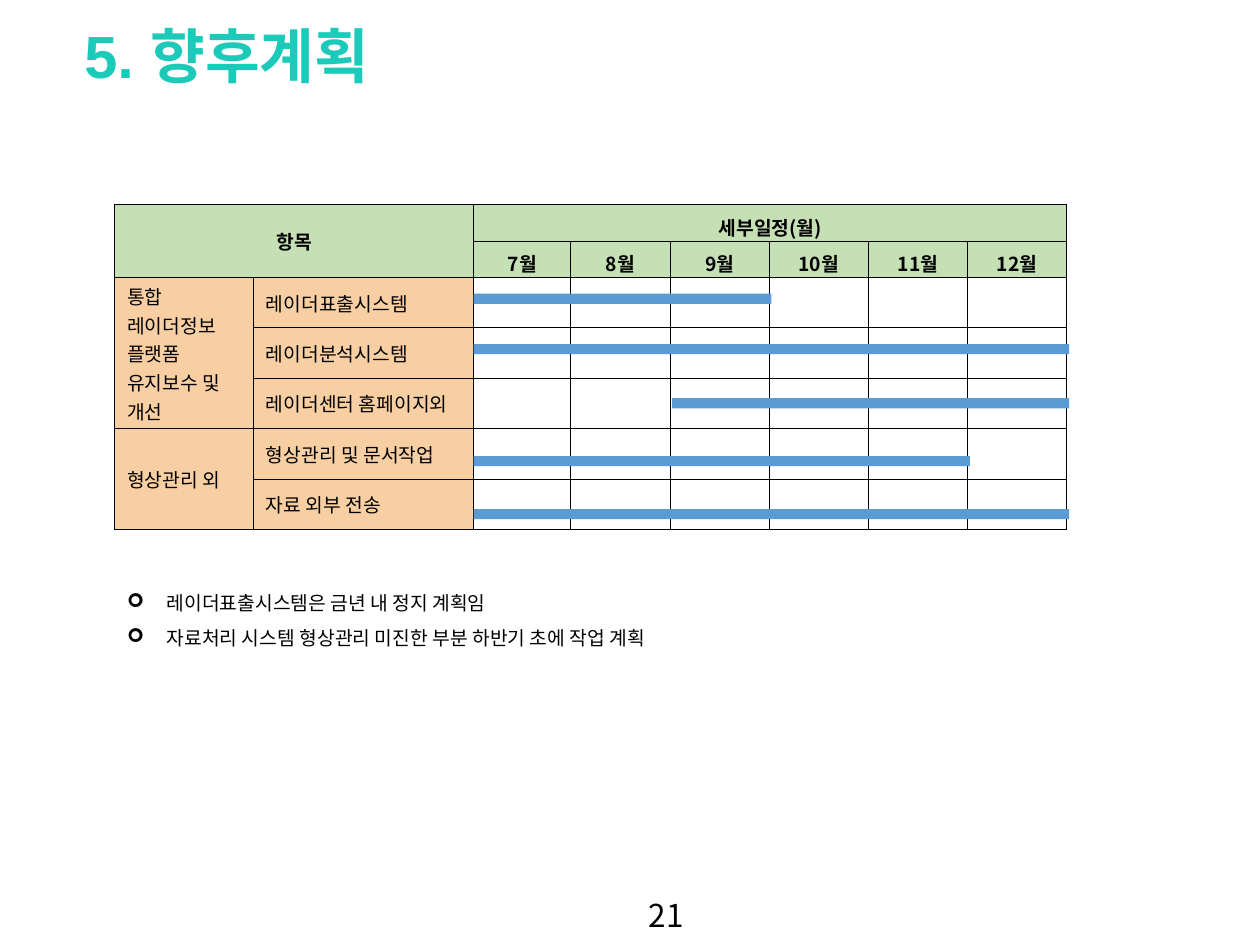
"""Build the schedule slide with a Gantt-style table and closing notes."""
from lxml.etree import SubElement
from pptx import Presentation
from pptx.dml.color import RGBColor
from pptx.enum.shapes import MSO_SHAPE as Shape
from pptx.enum.text import MSO_ANCHOR as Anchor, MSO_AUTO_SIZE as Fit, PP_ALIGN as Align
from pptx.oxml.ns import qn
from pptx.util import Pt

COLORS = {"title": "1CCAB9", "header": "C5E0B4", "item": "F7CFA3",
          "bar": "5B9BD5", "text": "000000"}
KR = "Noto Sans CJK KR"
COL_WIDTHS = [79.2, 126, 55.5] + [56.7] * 5
ROW_HEIGHTS = [20.8] * 2 + [28.8] * 5
TABLE_LEFT, TABLE_TOP = 65.5, 116.9
BAR_LEFT, MONTH_WIDTH, BAR_HEIGHT = 270.7, 56.7, 5.8
MONTHS = [f"{m}월" for m in range(7, 13)]
GROUPS = [
    (["통합", "레이더정보", "플랫폼", "유지보수 및 개선"],
     ["레이더표출시스템", "레이더분석시스템", "레이더센터 홈페이지외"]),
    (["형상관리 외"], ["형상관리 및 문서작업", "자료 외부 전송"]),
]
BARS = [(0, 3, 167.8), (0, 6, 196.6), (2, 4, 227.5), (0, 5, 260.6), (0, 6, 290.9)]
NOTES = ["레이더표출시스템은 금년 내 정지 계획임",
         "자료처리 시스템 형상관리 미진한 부분 하반기 초에 작업 계획"]


def rgb(name):
    return RGBColor.from_string(COLORS[name])


def set_attrs(obj, fmt):
    for name, value in fmt.items():
        setattr(obj, name, value)


def place(sp, left, top, width, height):
    set_attrs(sp, {"left": Pt(left), "top": Pt(top),
                   "width": Pt(width), "height": Pt(height)})


def write(tf, lines, size=11, bold=False, font=KR, color="text", **para):
    for i, line in enumerate(lines):
        p = tf.paragraphs[0] if i == 0 else tf.add_paragraph()
        set_attrs(p, para)
        r = p.add_run()
        r.text = line
        set_attrs(r.font, {"size": Pt(size), "bold": bold, "name": font})
        r.font.color.rgb = rgb(color)
        SubElement(r.font._element, qn("a:ea"), typeface=KR)


def add_title(s, text):
    sp = s.shapes.title
    place(sp, 41, -0.7, 607.7, 63.4)
    set_attrs(sp.text_frame, {"vertical_anchor": Anchor.MIDDLE, "auto_size": Fit.NONE})
    write(sp.text_frame, [text], 34, True, "Arial", "title", alignment=Align.LEFT)


def add_notes(s, lines):
    sp = s.placeholders[1]
    place(sp, 65.5, 327.6, 391, 47.5)
    sp.text_frame.auto_size = Fit.SHAPE_TO_FIT_TEXT
    write(sp.text_frame, lines, line_spacing=1.5, space_before=Pt(0))
    for p in sp.text_frame.paragraphs:
        pPr = p._p.get_or_add_pPr()
        pPr.set("marL", str(Pt(22.5)))
        pPr.set("indent", str(Pt(-22.5)))
        SubElement(pPr, qn("a:buFont"), typeface="Wingdings")
        SubElement(pPr, qn("a:buChar"), char="➢")


def add_borders(cell):
    tcPr = cell._tc.get_or_add_tcPr()
    for side in "LRTB":
        ln = SubElement(tcPr, qn(f"a:ln{side}"), w=str(Pt(0.5)))
        fill = SubElement(ln, qn("a:solidFill"))
        SubElement(fill, qn("a:srgbClr"), val=COLORS["text"])


def style_cell(cell, row, col):
    add_borders(cell)
    set_attrs(cell, {"margin_top": 0, "margin_bottom": 0,
                     "vertical_anchor": Anchor.MIDDLE})
    if row >= 2 and col >= 2:
        cell.fill.background()
    else:
        cell.fill.solid()
        cell.fill.fore_color.rgb = rgb("header" if row < 2 else "item")


def write_header(cell, text, anchor=Anchor.BOTTOM):
    cell.vertical_anchor = anchor
    write(cell.text_frame, [text], bold=True, alignment=Align.CENTER, line_spacing=1.03)


def add_schedule(s):
    rows, cols = len(ROW_HEIGHTS), len(COL_WIDTHS)
    tbl = s.shapes.add_table(rows, cols, Pt(TABLE_LEFT), Pt(TABLE_TOP),
                             Pt(sum(COL_WIDTHS)), Pt(sum(ROW_HEIGHTS))).table
    set_attrs(tbl, {"first_row": False, "horz_banding": False})
    for col, width in zip(tbl.columns, COL_WIDTHS):
        col.width = Pt(width)
    for row, height in zip(tbl.rows, ROW_HEIGHTS):
        row.height = Pt(height)
    for r in range(rows):
        for c in range(cols):
            style_cell(tbl.cell(r, c), r, c)
    tbl.cell(0, 0).merge(tbl.cell(1, 1))
    tbl.cell(0, 2).merge(tbl.cell(0, cols - 1))
    write_header(tbl.cell(0, 0), "항목", Anchor.MIDDLE)
    write_header(tbl.cell(0, 2), "세부일정(월)")
    for c, month in enumerate(MONTHS, 2):
        write_header(tbl.cell(1, c), month)
    top = 2
    for group, items in GROUPS:
        tbl.cell(top, 0).merge(tbl.cell(top + len(items) - 1, 0))
        write(tbl.cell(top, 0).text_frame, group, line_spacing=1.03)
        for r, item in enumerate(items, top):
            write(tbl.cell(r, 1).text_frame, [item])
        top += len(items)


def add_bar(s, start, months, top):
    sp = s.shapes.add_shape(Shape.RECTANGLE, Pt(BAR_LEFT + start * MONTH_WIDTH), Pt(top),
                            Pt(months * MONTH_WIDTH), Pt(BAR_HEIGHT))
    sp.shadow.inherit = False
    sp.fill.solid()
    sp.fill.fore_color.rgb = rgb("bar")
    sp.line.fill.background()


def add_page_number(s, text):
    tf = s.shapes.add_textbox(Pt(363.6), Pt(508.3), Pt(34.6), Pt(28.8)).text_frame
    set_attrs(tf, {"word_wrap": False, "auto_size": Fit.SHAPE_TO_FIT_TEXT})
    write(tf, [text], 18)


def main():
    prs = Presentation()
    set_attrs(prs, {"slide_width": Pt(720), "slide_height": Pt(540)})
    s = prs.slides.add_slide(prs.slide_layouts[1])
    add_title(s, "5. 향후계획")
    add_schedule(s)
    for bar in BARS:
        add_bar(s, *bar)
    add_notes(s, NOTES)
    add_page_number(s, "21")
    prs.save("out.pptx")


if __name__ == "__main__":
    main()
